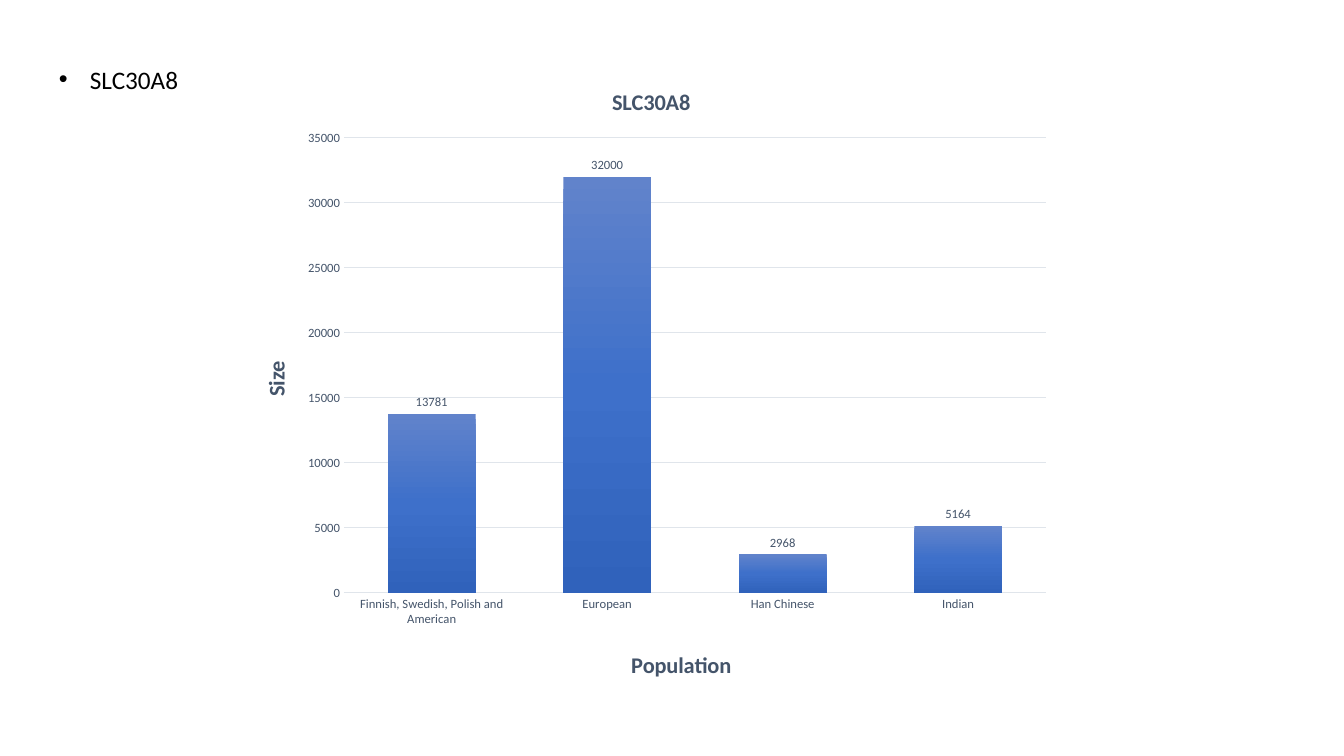
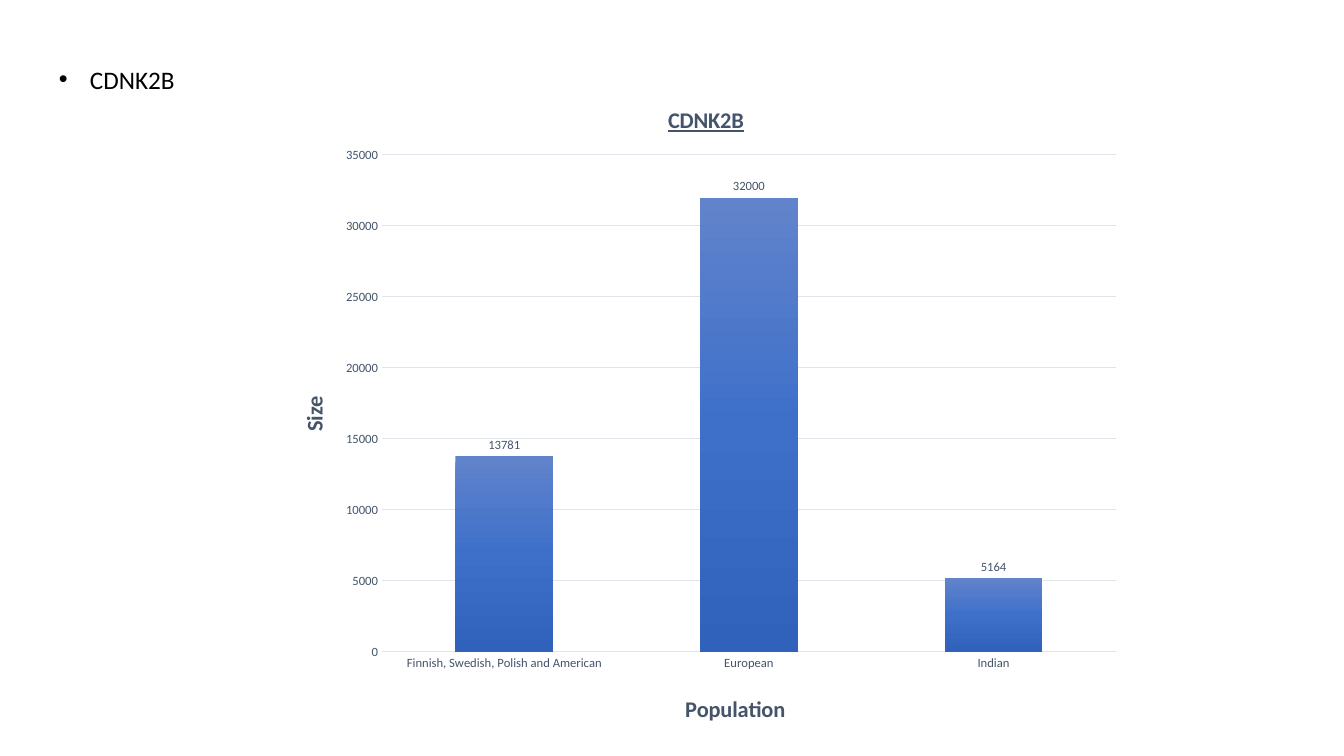
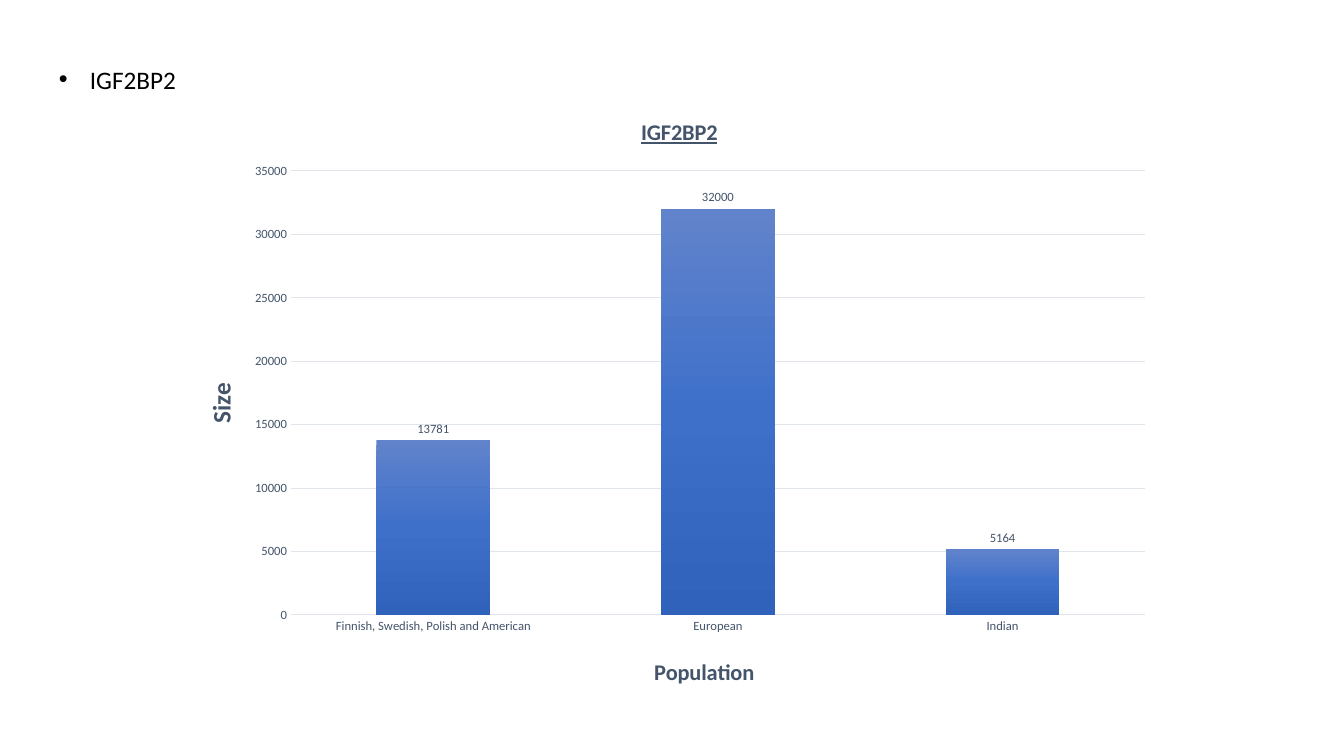
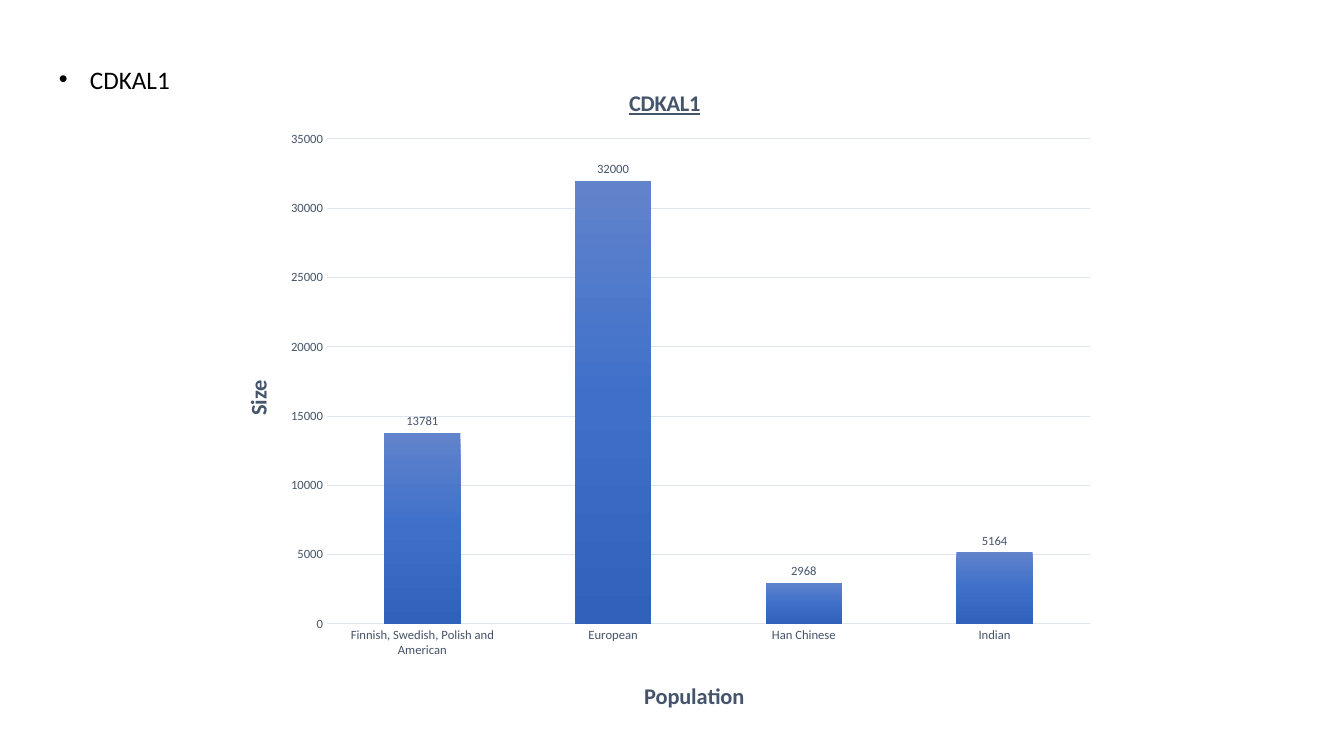
"""Four slides of sample sizes by population, one gene on each."""
from dataclasses import dataclass

from lxml import etree
from pptx import Presentation
from pptx import util as u
from pptx.chart.data import CategoryChartData
from pptx.dml.color import RGBColor
from pptx.enum import chart as ch
from pptx.enum import text as t
from pptx.oxml import parse_xml
from pptx.oxml.ns import nsdecls, qn

PX = 914400 / 100.8
SLIDE_WIDTH, SLIDE_HEIGHT = 1344, 756
FONT = "Calibri"
BLACK = RGBColor(0x00, 0x00, 0x00)
SLATE = RGBColor(0x44, 0x54, 0x6A)
PALE = RGBColor(0xE0, 0xE5, 0xEB)
BAR_STOPS = (
    (0, RGBColor(0x61, 0x83, 0xCB)),
    (50, RGBColor(0x3E, 0x70, 0xCA)),
    (100, RGBColor(0x30, 0x62, 0xBB)),
)
SAMPLE_SIZES = {
    "Finnish, Swedish, Polish and American": 13781,
    "European": 32000,
    "Han Chinese": 2968,
    "Indian": 5164,
}
ALL_POPULATIONS = tuple(SAMPLE_SIZES)
WITHOUT_HAN = tuple(name for name in SAMPLE_SIZES if name != "Han Chinese")


@dataclass
class Gene:
    """One gene's chart: boxes are left, top, width, height; titles left, top."""
    name: str
    populations: tuple
    frame: tuple
    plot: tuple
    title_at: tuple
    population_at: tuple
    size_at: tuple
    gap: int = 150
    size_points: int = 16
    underline: bool = True
    heading_in_front: bool = False


GENES = (
    Gene("SLC30A8", ALL_POPULATIONS, (233, 59, 830, 638), (344, 138, 702, 455),
         (608, 83), (627, 646), (257, 357), gap=100, underline=False),
    Gene("CDNK2B", WITHOUT_HAN, (270, 76, 864, 666), (382, 155, 734, 497),
         (664, 101), (681, 690), (295, 392), heading_in_front=True),
    Gene("IGF2BP2", WITHOUT_HAN, (172, 94, 993, 611), (291, 171, 854, 444),
         (637, 113), (650, 653), (199, 378), size_points=18),
    Gene("CDKAL1", ALL_POPULATIONS, (215, 59, 893, 669), (327, 139, 763, 485),
         (625, 84), (640, 677), (239, 376), heading_in_front=True),
)


def px(length):
    """Turn pixels into EMU."""
    return u.Emu(round(length * PX))


def style_font(font, points, color, bold=False):
    """Set the shared typeface with a size, colour and weight."""
    font.name, font.size, font.bold = FONT, u.Pt(points), bold
    font.color.rgb = color


def manual_layout(frame, box, inner=False):
    """Build a chart layout that places a box within the chart frame."""
    left, top, width, height = frame
    shares = {"x": (box[0] - left) / width, "y": (box[1] - top) / height}
    if len(box) == 4:
        shares.update(w=box[2] / width, h=box[3] / height)
    layout = parse_xml(f"<c:layout {nsdecls('c')}><c:manualLayout/></c:layout>")
    settings = [("layoutTarget", "inner")] if inner else []
    settings += [("xMode", "edge"), ("yMode", "edge")]
    settings += [(key, f"{share:.4f}") for key, share in shares.items()]
    for tag, value in settings:
        etree.SubElement(layout[0], qn(f"c:{tag}")).set("val", value)
    return layout


def place_title(owner, title, words, gene, position, points=16):
    """Write and place the title of a chart or an axis."""
    owner.has_title = True
    paragraph = title.text_frame.paragraphs[0]
    paragraph.text = words
    style_font(paragraph.font, points, SLATE, bold=True)
    element = title._element
    for old in element.findall(qn("c:layout")):
        element.remove(old)
    element.find(qn("c:tx")).addnext(manual_layout(gene.frame, position))
    return paragraph


def fill_bars(series):
    """Fill the bars with the three-stop vertical gradient."""
    stops = "".join(
        f'<a:gs pos="{place * 1000}"><a:srgbClr val="{color}"/></a:gs>'
        for place, color in BAR_STOPS)
    series.format.fill.gradient()
    properties = series._element.find(qn("c:spPr"))
    properties.replace(properties.find(qn("a:gradFill")), parse_xml(
        f'<a:gradFill {nsdecls("a")} rotWithShape="1"><a:gsLst>{stops}</a:gsLst>'
        '<a:lin ang="5400000" scaled="0"/></a:gradFill>'))


def style_axis(axis):
    """Set the tick labels and remove the tick marks."""
    axis.major_tick_mark = axis.minor_tick_mark = ch.XL_TICK_MARK.NONE
    style_font(axis.tick_labels.font, 9, SLATE)


def pale_line(line):
    """Draw a thin pale line."""
    line.color.rgb, line.width = PALE, u.Pt(0.75)


def add_size_chart(slide, gene):
    """Add the column chart of sample sizes by population."""
    data = CategoryChartData()
    data.categories = gene.populations
    data.add_series("Series 1", [SAMPLE_SIZES[name] for name in gene.populations])
    chart = slide.shapes.add_chart(
        ch.XL_CHART_TYPE.COLUMN_CLUSTERED, *map(px, gene.frame), data).chart
    style_font(chart.font, 10, BLACK)
    chart.has_legend = False

    bars = chart.plots[0]
    bars.gap_width, bars.overlap = gene.gap, -24
    bars.vary_by_categories = False
    fill_bars(bars.series[0])
    labels = bars.series[0].data_labels
    labels.show_value = True
    labels.position = ch.XL_LABEL_POSITION.OUTSIDE_END
    style_font(labels.font, 9, SLATE)

    populations, sizes = chart.category_axis, chart.value_axis
    style_axis(populations)
    pale_line(populations.format.line)
    style_axis(sizes)
    sizes.format.line.fill.background()
    pale_line(sizes.major_gridlines.format.line)

    heading = place_title(chart, chart.chart_title, gene.name, gene, gene.title_at)
    heading.font.underline = gene.underline
    place_title(populations, populations.axis_title, "Population", gene,
                gene.population_at)
    place_title(sizes, sizes.axis_title, "Size", gene, gene.size_at,
                gene.size_points)
    turned = sizes.axis_title.text_frame._txBody.find(qn("a:bodyPr"))
    turned.set("rot", "-5400000")
    turned.set("vert", "horz")

    area = chart._chartSpace.chart.plotArea
    for old in area.findall(qn("c:layout")):
        area.remove(old)
    area.insert(0, manual_layout(gene.frame, gene.plot, inner=True))


def add_heading(slide, gene):
    """Add the bulleted gene name at the top left."""
    frame = slide.shapes.add_textbox(*map(px, (49, 59, 326, 40))).text_frame
    frame.word_wrap = True
    frame.auto_size = t.MSO_AUTO_SIZE.SHAPE_TO_FIT_TEXT
    paragraph = frame.paragraphs[0]
    paragraph.text = gene.name
    style_font(paragraph.font, 18, BLACK)
    properties = paragraph._p.get_or_add_pPr()
    indent = px(31)
    properties.set("marL", str(indent))
    properties.set("indent", str(-indent))
    bullet = parse_xml(f'<a:buChar {nsdecls("a")} char="•"/>')
    properties.insert(0, bullet)
    bullet.addprevious(parse_xml(f'<a:buFont {nsdecls("a")} typeface="Arial"/>'))


def main():
    """Build the slides and save them."""
    deck = Presentation()
    deck.slide_width, deck.slide_height = px(SLIDE_WIDTH), px(SLIDE_HEIGHT)
    for gene in GENES:
        slide = deck.slides.add_slide(deck.slide_layouts[6])
        parts = [add_heading, add_size_chart]
        for add_part in reversed(parts) if gene.heading_in_front else parts:
            add_part(slide, gene)
    deck.save("out.pptx")


main()
